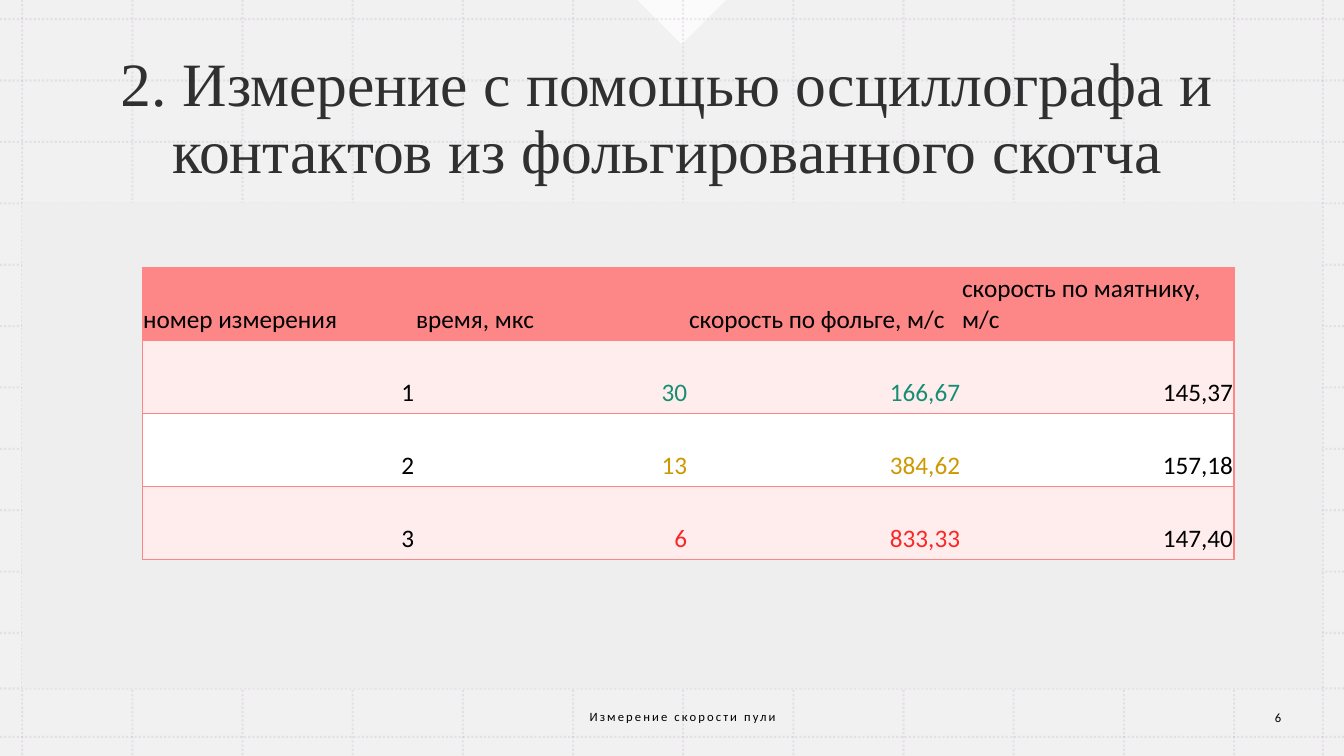
from pptx import Presentation
from pptx.dml.color import RGBColor
from pptx.enum.dml import MSO_LINE_DASH_STYLE as Dash
from pptx.enum.shapes import MSO_CONNECTOR as Connector, MSO_SHAPE as Shape
from pptx.enum.text import MSO_ANCHOR as Anchor, MSO_AUTO_SIZE as AutoSize, PP_ALIGN as Align
from pptx.oxml.ns import qn
from pptx.util import Inches, Pt
from lxml.etree import SubElement

TITLE = "2. Измерение с помощью осциллографа и контактов из фольгированного скотча"
HEADERS = ["номер измерения", "время, мкс", "скорость по фольге, м/с", "скорость по маятнику, м/с"]
MEASUREMENTS = [
    ("1", "30", "166,67", "145,37", "green"),
    ("2", "13", "384,62", "157,18", "gold"),
    ("3", "6", "833,33", "147,40", "red"),
]
FOOTERS = [("Измерение скорости пули", 4.59, 6.91, 4.36), ("6", 12.24, 6.92, 0.87)]
COLORS = {
    "paper": "EEEEEE", "white": "FFFFFF", "grid": "B495C2", "black": "000000",
    "header": "FD8686", "band": "FFEDED", "green": "178E74", "gold": "CC9900", "red": "FB2727",
}
WIDTH, HEIGHT = 13.33, 7.5
GRID_X = [0.22 + 1.0927 * step for step in range(12)] + [13.12]
GRID_Y = [0.19 + 0.609 * step for step in range(11)] + [6.83, 7.31]
TABLE_LEFT, TABLE_TOP, COLUMN_WIDTH, ROW_HEIGHT = 1.41, 2.65, 2.7075, 0.725


def color(name):
    return RGBColor.from_string(COLORS[name])


def set_alpha(fill_element, percent):
    target = next(fill_element.iter(qn("a:srgbClr")))
    SubElement(target, qn("a:alpha"), val=str(percent * 1000))


def add_panel(page, kind, left, top, width, height, fill, alpha=100):
    panel = page.shapes.add_shape(kind, Inches(left), Inches(top), Inches(width), Inches(height))
    panel.shadow.inherit = False
    panel.fill.solid()
    panel.fill.fore_color.rgb = color(fill)
    panel.line.fill.background()
    if alpha < 100:
        set_alpha(panel.fill._xPr, alpha)
    return panel


def add_grid_line(page, x1, y1, x2, y2):
    rule = page.shapes.add_connector(Connector.STRAIGHT, Inches(x1), Inches(y1), Inches(x2), Inches(y2))
    rule.line.color.rgb = color("grid")
    rule.line.width = Pt(1.5)
    rule.line.dash_style = Dash.ROUND_DOT
    properties = rule._element.spPr
    set_alpha(properties, 20)
    SubElement(properties, qn("a:effectLst"))


def format_text(para, size, font, name, align):
    para.alignment = align
    for span in para.runs:
        span.font.size = Pt(size)
        span.font.name = font
        span.font.color.rgb = color(name)


def set_borders(cell, visible):
    properties = cell._tc.get_or_add_tcPr()
    for side in "LRTB":
        border = SubElement(properties, qn("a:ln" + side), w=str(Pt(1)))
        if side in visible:
            solid = SubElement(border, qn("a:solidFill"))
            SubElement(solid, qn("a:srgbClr"), val=COLORS["header"])
        else:
            SubElement(border, qn("a:noFill"))


def fill_cell(cell, text, fill, name, align, visible):
    set_borders(cell, visible)
    cell.fill.solid()
    cell.fill.fore_color.rgb = color(fill)
    cell.margin_left = cell.margin_top = cell.margin_right = Inches(0.01)
    cell.margin_bottom = Inches(0.05)
    cell.vertical_anchor = Anchor.BOTTOM
    cell.text_frame.text = text
    format_text(cell.text_frame.paragraphs[0], 18, "Calibri", name, align)


def add_background(page):
    add_panel(page, Shape.RECTANGLE, 0, 0, WIDTH, HEIGHT, "paper", 80)
    add_panel(page, Shape.RIGHT_TRIANGLE, 6.45, -0.31, 0.62, 0.62, "white", 75).rotation = 315
    for x in GRID_X:
        add_grid_line(page, x, 0, x, HEIGHT)
    for y in GRID_Y:
        add_grid_line(page, 0, y, WIDTH, y)
    add_panel(page, Shape.RECTANGLE, 0.22, 2.01, 12.89, 4.82, "paper")


def add_title(page):
    title = page.shapes.title
    page.shapes._spTree.append(title._element)
    title.left, title.top, title.width, title.height = map(Inches, (0.33, 0.37, 12.58, 1.64))
    frame = title.text_frame
    frame.text = TITLE
    frame.word_wrap = True
    frame.auto_size = AutoSize.NONE
    frame.vertical_anchor = Anchor.MIDDLE
    para = frame.paragraphs[0]
    para.line_spacing = 0.9
    format_text(para, 44, "Times New Roman", "black", Align.CENTER)
    set_alpha(para.runs[0]._r, 80)


def add_measurements(page):
    rows, columns = len(MEASUREMENTS) + 1, len(HEADERS)
    table = page.shapes.add_table(
        rows, columns, Inches(TABLE_LEFT), Inches(TABLE_TOP),
        Inches(COLUMN_WIDTH * columns), Inches(ROW_HEIGHT * rows)).table
    table.first_row = table.horz_banding = False
    sides = ["LTB"] + ["TB"] * (columns - 2) + ["RTB"]
    for column, header in enumerate(HEADERS):
        fill_cell(table.cell(0, column), header, "header", "black", Align.LEFT, sides[column])
    for row, (*values, accent) in enumerate(MEASUREMENTS, 1):
        fill = "band" if row % 2 else "white"
        for column, value in enumerate(values):
            name = accent if column in (1, 2) else "black"
            fill_cell(table.cell(row, column), value, fill, name, Align.RIGHT, sides[column])


def add_footers(page):
    for text, left, top, width in FOOTERS:
        box = page.shapes.add_textbox(Inches(left), Inches(top), Inches(width), Inches(0.4))
        frame = box.text_frame
        frame.word_wrap = True
        frame.vertical_anchor = Anchor.MIDDLE
        frame.text = text
        para = frame.paragraphs[0]
        format_text(para, 9, "Calibri", "black", Align.CENTER)
        para.runs[0].font._element.set("spc", "150")


def main():
    deck = Presentation()
    deck.slide_width, deck.slide_height = Inches(WIDTH), Inches(HEIGHT)
    page = deck.slides.add_slide(deck.slide_layouts[5])
    add_background(page)
    add_title(page)
    add_measurements(page)
    add_footers(page)
    deck.save("out.pptx")


if __name__ == "__main__":
    main()
